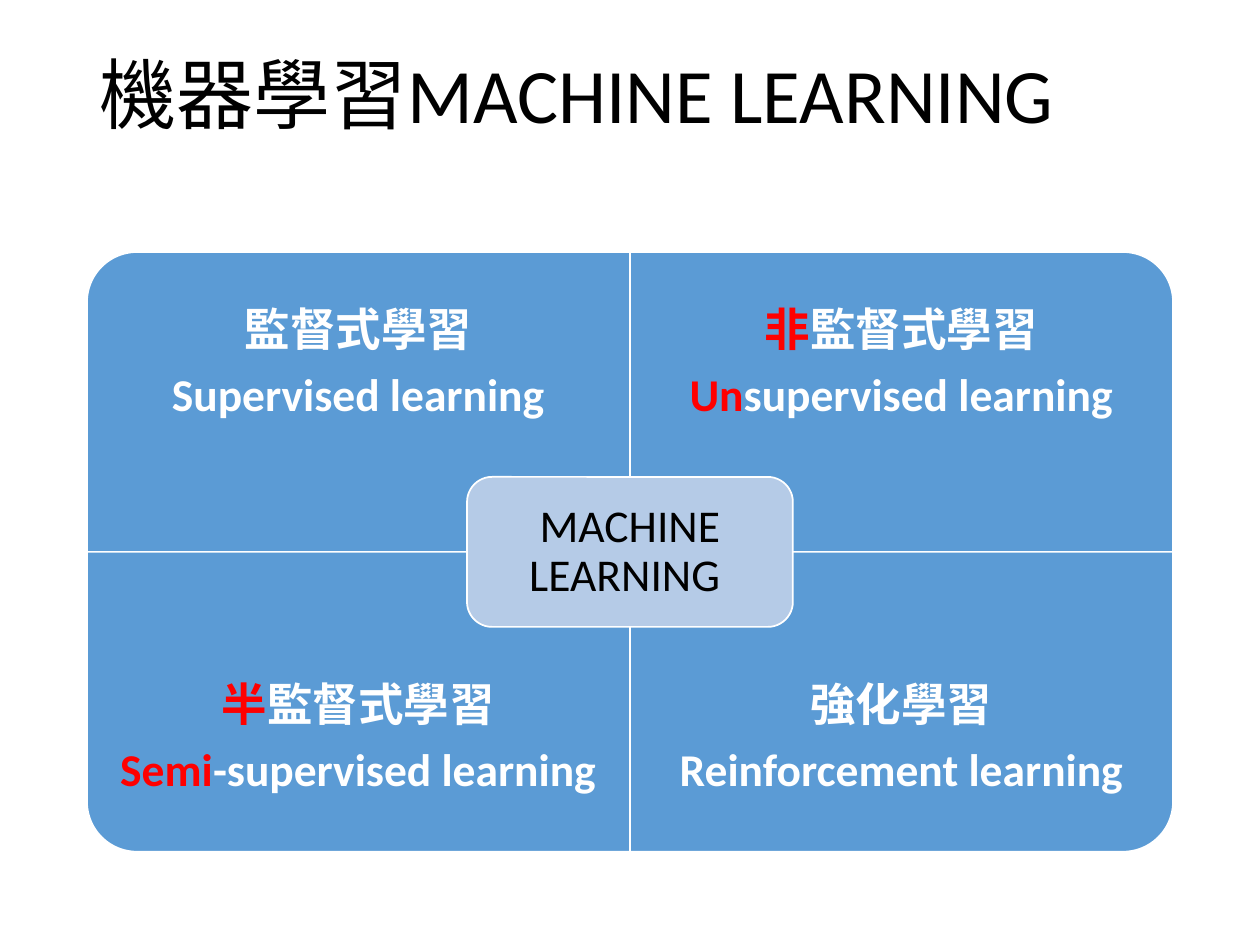
from pptx import Presentation
from pptx.dml.color import RGBColor
from pptx.enum.shapes import MSO_SHAPE as Shape
from pptx.enum.text import MSO_ANCHOR as Anchor, MSO_AUTO_SIZE as AutoSize, PP_ALIGN as Align
from pptx.util import Inches, Pt

COLORS = {"quadrant": "5B9BD5", "center": "B5CBE7", "light": "FFFFFF",
          "dark": "000000", "prefix": "FF0000"}

# Grid: two columns and two rows of quadrants
LEFT, TOP = 0.69, 2.0
COL, ROW = 4.31, 2.38
LABEL_H = ROW * 0.75


def add_panel(kind, x, y, w, h, fill):
    panel = slide.shapes.add_shape(kind, Inches(x), Inches(y), Inches(w), Inches(h))
    panel.shadow.inherit = False
    panel.fill.solid()
    panel.fill.fore_color.rgb = RGBColor.from_string(COLORS[fill])
    panel.line.color.rgb = RGBColor.from_string(COLORS["light"])
    panel.line.width = Pt(1)
    return panel


def format_text(frame, margin, size, color, align, anchor, bold=False, after=0):
    frame.word_wrap = True
    frame.auto_size = AutoSize.NONE
    frame.vertical_anchor = anchor
    frame.margin_left = frame.margin_right = Inches(margin)
    frame.margin_top = frame.margin_bottom = Inches(min(margin, 0.2))
    for para in frame.paragraphs:
        para.alignment = align
        para.line_spacing = 0.9
        para.space_before = Pt(0)
        para.space_after = Pt(after)
        para.font.name = "Calibri"
        para.font.size = Pt(size)
        para.font.bold = bold
        para.font.color.rgb = RGBColor.from_string(COLORS[color])


prs = Presentation()
prs.slide_width, prs.slide_height = Inches(10), Inches(7.5)
slide = prs.slides.add_slide(prs.slide_layouts[5])

# Title
title = slide.shapes.title
title.left, title.top = Inches(LEFT), Inches(0.4)
title.width, title.height = Inches(2 * COL), Inches(1.45)
title.text_frame.text = "機器學習MACHINE LEARNING"
format_text(title.text_frame, 0.1, 44, "dark", Align.LEFT, Anchor.TOP)
title.text_frame.margin_top = Inches(0.05)

# Quadrants: column, row, rotation, lines of (red prefix, rest)
quadrants = [
    (0, 0, 270, [("", "監督式學習"), ("", "Supervised learning")]),
    (1, 0, 0, [("非", "監督式學習"), ("Un", "supervised learning")]),
    (0, 1, 180, [("半", "監督式學習"), ("Semi", "-supervised learning")]),
    (1, 1, 90, [("", "強化學習"), ("", "Reinforcement learning")]),
]
for col, row, rotation, lines in quadrants:
    x, y = LEFT + col * COL, TOP + row * ROW

    # Panel with its rounded corner turned outwards
    w, h = (ROW, COL) if rotation % 180 else (COL, ROW)
    panel = add_panel(Shape.ROUND_1_RECTANGLE, x + (COL - w) / 2, y + (ROW - h) / 2,
                      w, h, "quadrant")
    panel.rotation = rotation

    # Label in the outer three quarters of the panel
    label = slide.shapes.add_textbox(Inches(x), Inches(y + row * (ROW - LABEL_H)),
                                     Inches(COL), Inches(LABEL_H)).text_frame
    for i, (prefix, rest) in enumerate(lines):
        para = label.add_paragraph() if i else label.paragraphs[0]
        if prefix:
            run = para.add_run()
            run.text = prefix
            run.font.color.rgb = RGBColor.from_string(COLORS["prefix"])
        para.add_run().text = rest
    format_text(label, 0.2, 26, "light", Align.CENTER, Anchor.MIDDLE, bold=True, after=9.1)

# Center tile, over the crossing of the grid
tile_w, tile_h = COL * 0.6, ROW / 2
center = add_panel(Shape.ROUNDED_RECTANGLE, LEFT + COL - tile_w / 2, TOP + ROW - tile_h / 2,
                   tile_w, tile_h, "center")
center.text_frame.text = "MACHINE LEARNING "
format_text(center.text_frame, 0.11, 26, "dark", Align.CENTER, Anchor.MIDDLE, after=9.1)

prs.save("out.pptx")
